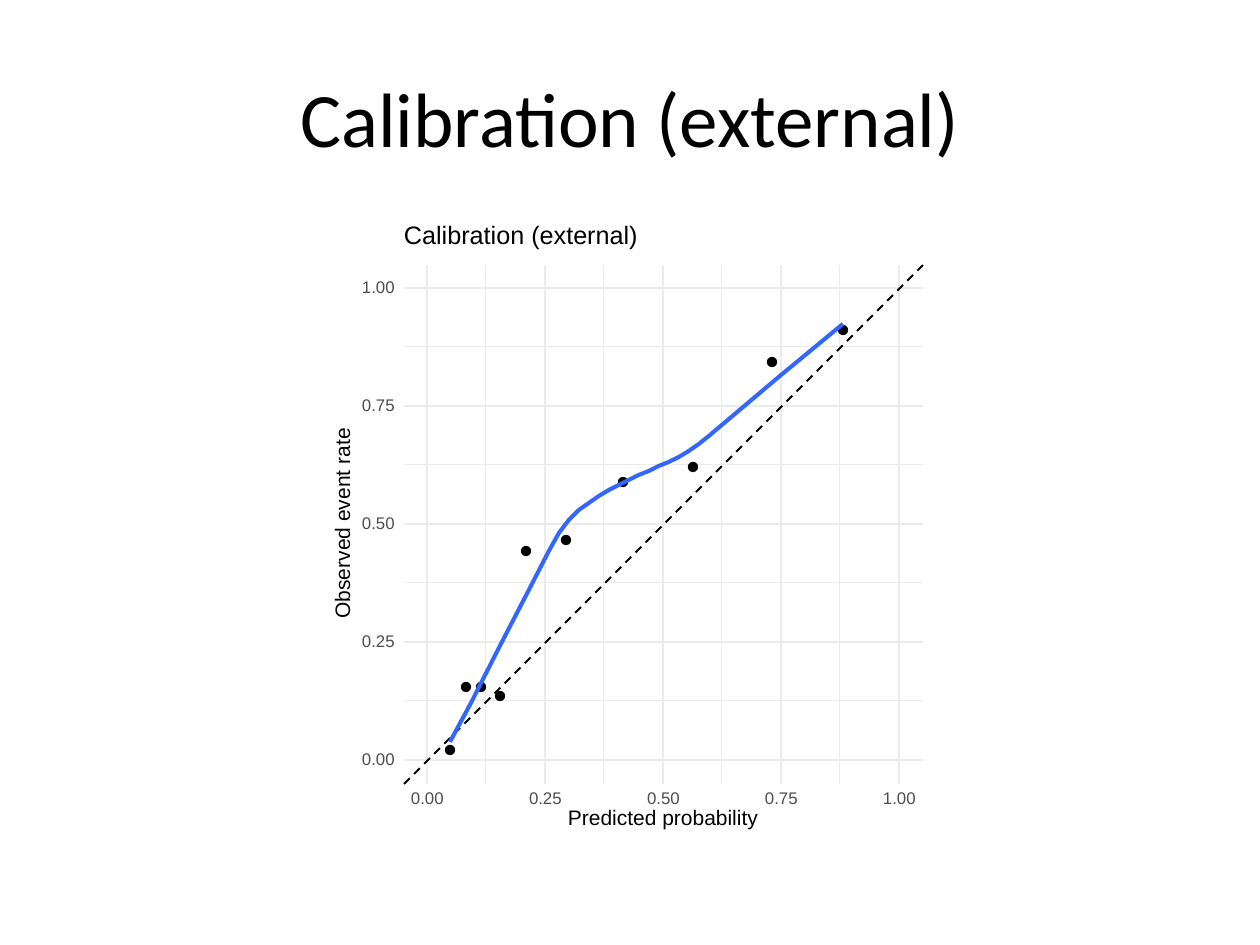
from pptx import Presentation
from pptx.dml.color import RGBColor
from pptx.enum.dml import MSO_LINE
from pptx.enum.shapes import MSO_CONNECTOR, MSO_SHAPE
from pptx.enum.text import MSO_ANCHOR, PP_ALIGN
from pptx.util import Pt
from lxml.etree import SubElement
from pptx.oxml.ns import qn

PX = 914400 / 126
color = RGBColor.from_string


def add_rule(x1, y1, x2, y2, hue, width):
    ends = [round(v * PX) for v in (x1, y1, x2, y2)]
    rule = plot.add_connector(MSO_CONNECTOR.STRAIGHT, *ends)
    rule.line.color.rgb = color(hue)
    rule.line.width = Pt(width)
    SubElement(rule._element.spPr, qn("a:effectLst"))
    return rule


def add_label(text, x, y, w, h, size, hue="000000"):
    label = plot.add_textbox(*[round(v * PX) for v in (x, y, w, h)])
    frame = label.text_frame
    frame.margin_left = frame.margin_right = 0
    frame.margin_top = frame.margin_bottom = 0
    frame.word_wrap = False
    frame.vertical_anchor = MSO_ANCHOR.MIDDLE
    frame.text = text
    paragraph = frame.paragraphs[0]
    paragraph.line_spacing = Pt(size)
    font = paragraph.runs[0].font
    font.name, font.size = "Arial", Pt(size)
    font.color.rgb = color(hue)
    return label


deck = Presentation()
deck.slide_width, deck.slide_height = round(1260 * PX), round(945 * PX)
slide = deck.slides.add_slide(deck.slide_layouts[5])

# Slide title
title = slide.shapes.title
title.left, title.top, title.width, title.height = [
    round(v * PX) for v in (63, 38, 1134, 158)]
title.text_frame.text = "Calibration (external)"
title.text_frame.vertical_anchor = MSO_ANCHOR.MIDDLE
heading = title.text_frame.paragraphs[0]
heading.alignment = PP_ALIGN.CENTER
heading.runs[0].font.name = "Calibri"
heading.runs[0].font.size = Pt(44)
heading.runs[0].font.color.rgb = color("000000")

# White backgrounds of the plot
plot = slide.shapes.add_group_shape().shapes
for x, w in ((63, 1134), (326, 607)):
    backdrop = plot.add_shape(
        MSO_SHAPE.RECTANGLE, *[round(v * PX) for v in (x, 220, w, 624)])
    backdrop.shadow.inherit = False
    backdrop.fill.solid()
    backdrop.fill.fore_color.rgb = color("FFFFFF")
    backdrop.line.color.rgb = color("FFFFFF")
    backdrop.line.width = Pt(0.75)
backdrop.line.fill.background()

# Grid: minor lines lie halfway between the major ones
LEFT, RIGHT, TOP, BOTTOM = 404, 923, 265, 784
ZERO_X, ZERO_Y, STEP = 427, 760, 118
for offset, count, width in ((0.5, 4, 0.58), (0, 5, 1.16)):
    for i in range(count):
        shift = (i + offset) * STEP
        add_rule(LEFT, ZERO_Y - shift, RIGHT, ZERO_Y - shift, "EBEBEB", width)
        add_rule(ZERO_X + shift, BOTTOM, ZERO_X + shift, TOP, "EBEBEB", width)

# Line of perfect calibration
ideal = add_rule(LEFT, BOTTOM, RIGHT, TOP, "000000", 1.16)
ideal.line.dash_style = MSO_LINE.DASH

# Observed rate per risk group
DOT = 9
observed = [(450, 750), (466, 687), (481, 687), (500, 696), (526, 551),
            (566, 540), (623, 482), (693, 467), (772, 362), (843, 330)]
for x, y in observed:
    dot = plot.add_shape(
        MSO_SHAPE.OVAL,
        *[round(v * PX) for v in (x - DOT / 2, y - DOT / 2, DOT, DOT)])
    dot.shadow.inherit = False
    dot.fill.solid()
    dot.fill.fore_color.rgb = color("000000")
    dot.line.color.rgb = color("000000")
    dot.line.width = Pt(0.77)

# Smoothed calibration curve: two nearly straight ends, a bend every 10 px
bend_y = [551, 533, 520, 510, 503, 496, 490, 485, 480, 475, 471, 466, 462,
          457, 451, 444]
curve_points = [(450, 742), (470, 705), (500, 646), (530, 588)]
curve_points += [(549 + 10 * i, y) for i, y in enumerate(bend_y)]
curve_points += [(709, 436), (780, 376), (843, 324)]
outline = plot.build_freeform(*curve_points[0], scale=PX)
outline.add_line_segments(curve_points[1:], close=False)
curve = outline.convert_to_shape()
curve.shadow.inherit = False
curve.fill.background()
curve.line.color.rgb = color("3366FF")
curve.line.width = Pt(2.33)

# Tick labels
for i in range(5):
    tick = f"{i / 4:.2f}"
    add_label(tick, 362, ZERO_Y - i * STEP - 6, 34, 13, 9.6, "4D4D4D")
    add_label(tick, ZERO_X + i * STEP - 16, 793, 34, 13, 9.6, "4D4D4D")

# Axis titles and plot title, with room to stay on one line
add_label("Predicted probability", 568, 810, 200, 19, 12)
add_label("Observed event rate", 244, 511, 200, 15, 12).rotation = 270
add_label("Calibration (external)", 404, 225, 244, 24, 14.4)

deck.save("out.pptx")
